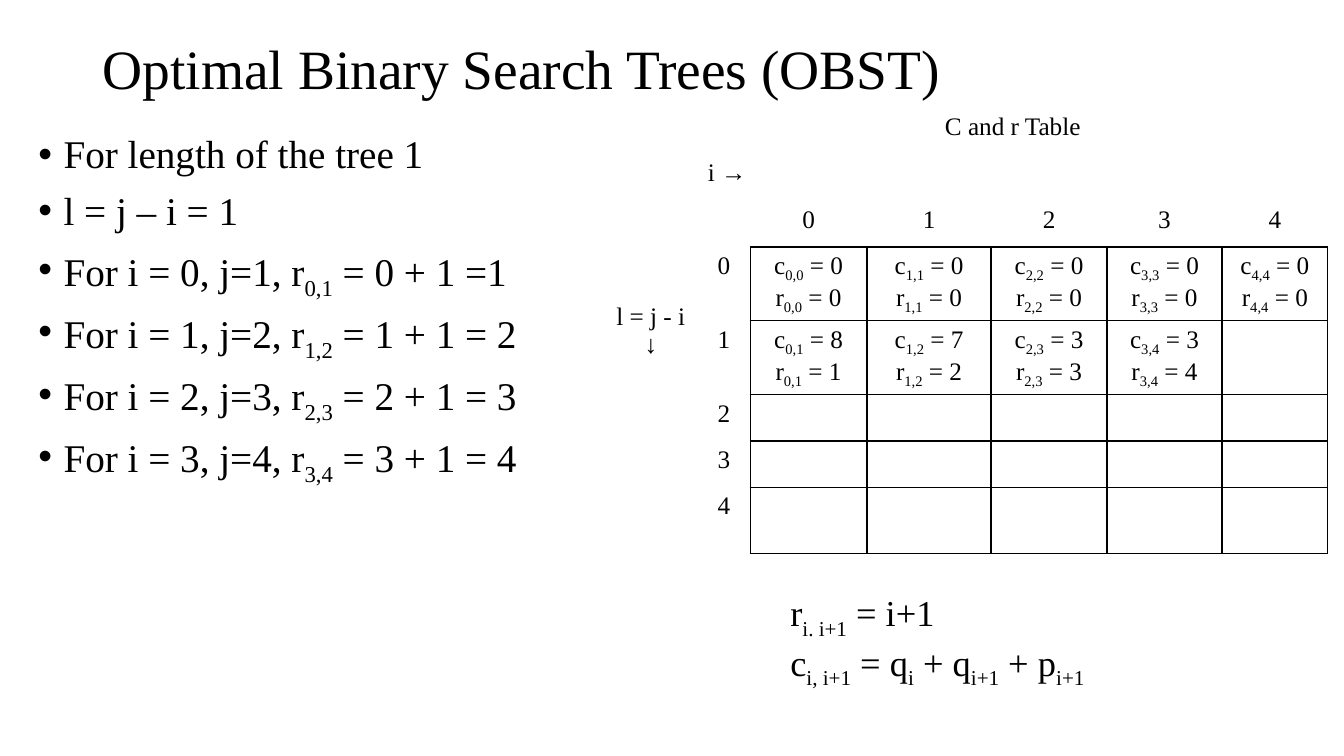
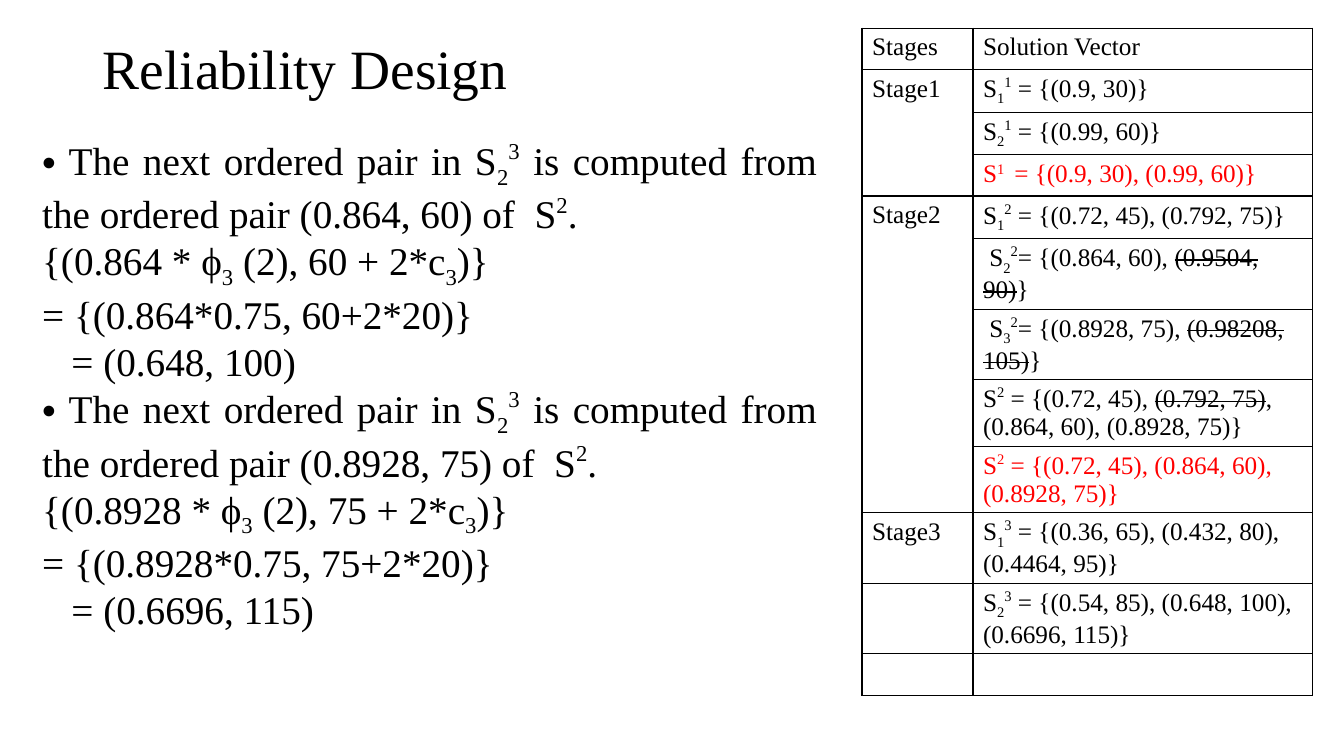
from pptx import Presentation
from pptx.dml.color import RGBColor
from pptx.enum.text import MSO_ANCHOR as Anchor, MSO_AUTO_SIZE as Auto, PP_ALIGN as Align
from pptx.util import Inches, Pt
from lxml.etree import SubElement as Sub
from pptx.oxml.ns import qn

FONT, BLACK, RED = "Times New Roman", "000000", "FF0000"
SHIFT = {"_": "-25000", "^": "40000", "`": "30000"}

TREE = "Optimal Binary Search Trees (OBST)"
STEPS = [
    "For length of the tree 1",
    "l = j – i = 1",
    "For i = 0, j=1, r|_0,1| = 0 + 1 =1",
    "For i = 1, j=2, r|_1,2| = 1 + 1 = 2",
    "For i = 2, j=3, r|_2,3| = 2 + 1 = 3",
    "For i = 3, j=4, r|_3,4| = 3 + 1 = 4",
]
COSTS = [
    [("0,0", 0, 0), ("1,1", 0, 0), ("2,2", 0, 0), ("3,3", 0, 0), ("4,4", 0, 0)],
    [("0,1", 8, 1), ("1,2", 7, 2), ("2,3", 3, 3), ("3,4", 3, 4)],
    [], [], [],
]
RULES = [
    "r|_i. i+1| = i+1",
    "c|_i, i+1| = q|_i| + q|_i+1| + p|_i+1",
]

DESIGN = "Reliability Design"
STAGES = [
    ("Stages", ["Solution Vector"]),
    ("Stage1", [
        "S|_1|^1| = {(0.9, 30)}",
        "S|_2|^1| = {(0.99, 60)}",
        "!S|`1 | = {(0.9, 30), (0.99, 60)}",
    ]),
    ("Stage2", [
        "S|_1|^2| = {(0.72, 45), (0.792, 75)}",
        " S|_2|^2|= {(0.864, 60), |~(0.9504, 90)|}",
        " S|_3|^2|= {(0.8928, 75), |~(0.98208, 105)|}",
        "S|^2| = {(0.72, 45), |~(0.792, 75)|, (0.864, 60), (0.8928, 75)}",
        "!S|^2| = {(0.72, 45), (0.864, 60), (0.8928, 75)}",
    ]),
    ("Stage3", ["S|_1|^3| = {(0.36, 65), (0.432, 80), (0.4464, 95)}"]),
    ("", ["S|_2|^3| = {(0.54, 85), (0.648, 100), (0.6696, 115)}"]),
    ("", [""]),
]
PAIRS = [
    ("0.864", "60", "0.648, 100"),
    ("0.8928", "75", "0.6696, 115"),
]


def color(code):
    return RGBColor.from_string(code)


def write(par, text, size, align=Align.LEFT):
    ink = RED if text.startswith("!") else BLACK
    par.alignment = align
    for part in text.lstrip("!").split("|"):
        if not part:
            continue
        mark = part[0] if part[0] in "_^`~" else ""
        run = par.add_run()
        run.text = part[len(mark):]
        run.font.size, run.font.name = Pt(size), FONT
        run.font.color.rgb = color(ink)
        props = run._r.get_or_add_rPr()
        if mark == "~":
            props.set("strike", "sngStrike")
        elif mark:
            props.set("baseline", SHIFT[mark])


def fill(frame, lines, size, align=Align.LEFT):
    for n, line in enumerate(lines):
        par = frame.add_paragraph() if n else frame.paragraphs[0]
        write(par, line, size, align)


def indent(par, left, first=0, dot=False):
    props = par._p.get_or_add_pPr()
    props.set("marL", str(Inches(left)))
    props.set("indent", str(Inches(first)))
    if dot:
        Sub(props, qn("a:buFont")).set("typeface", "Arial")
        Sub(props, qn("a:buChar")).set("char", "•")


def place(shape, x, y, w, h):
    shape.left, shape.top, shape.width, shape.height = map(Inches, (x, y, w, h))
    frame = shape.text_frame
    frame.word_wrap, frame.auto_size = True, Auto.NONE
    return frame


def start(deck, layout, title, width):
    slide = deck.slides.add_slide(deck.slide_layouts[layout])
    frame = place(slide.shapes.title, 0.92, 0.4, width, 0.61)
    frame.vertical_anchor = Anchor.MIDDLE
    fill(frame, [title], 39.6)
    frame.paragraphs[0].line_spacing = 0.9
    return slide


def box(slide, *spot):
    return place(slide.shapes.add_textbox(0, 0, 0, 0), *spot)


def edge(cell, side, shown):
    line = Sub(cell._tc.get_or_add_tcPr(), qn("a:ln" + side))
    line.set("w", str(Pt(1)))
    if shown:
        solid = Sub(line, qn("a:solidFill"))
        Sub(solid, qn("a:srgbClr")).set("val", BLACK)
    else:
        Sub(line, qn("a:noFill"))


def grid(slide, x, y, cols, rows, top=0, left=0):
    shape = slide.shapes.add_table(
        len(rows), len(cols), Inches(x), Inches(y), Inches(sum(cols)), Inches(sum(rows)))
    table = shape.table
    table.first_row = table.horz_banding = False
    for col, w in zip(table.columns, cols):
        col.width = Inches(w)
    for row, h in zip(table.rows, rows):
        row.height = Inches(h)
    for r in range(len(rows)):
        for c in range(len(cols)):
            cell = table.cell(r, c)
            inner = r >= top and c >= left
            edge(cell, "L", inner)
            edge(cell, "R", r >= top and c + 1 >= left)
            edge(cell, "T", inner)
            edge(cell, "B", r + 1 >= top and c >= left)
            cell.fill.background()
    return table


def put(table, r, c, lines, align=Align.LEFT):
    fill(table.cell(r, c).text_frame, lines, 18, align)


def tree(deck):
    slide = start(deck, 1, TREE, 11.5)
    frame = place(slide.placeholders[1], 0.28, 1.29, 5.3, 5.81)
    fill(frame, STEPS, 28, Align.JUSTIFY)
    for n, par in enumerate(frame.paragraphs):
        indent(par, 0.25, -0.25, True)
        par.line_spacing = 0.9
        par.space_before = Pt(10 if n else 0)

    table = grid(slide, 5.99, 1.07, [0.93, 0.52, 1.16, 1.23, 1.15, 1.14, 1.05],
                 [0.46] * 3 + [0.73] * 2 + [0.46] * 2 + [0.65], 3, 2)
    for a, b in [((0, 0), (7, 0)), ((0, 1), (0, 6)), ((1, 1), (1, 2))]:
        table.cell(*a).merge(table.cell(*b))
    mid = Align.CENTER
    put(table, 0, 0, ["l = j - i", "↓"], mid)
    table.cell(0, 0).vertical_anchor = Anchor.MIDDLE
    put(table, 0, 1, ["C and r Table"], mid)
    put(table, 1, 1, ["i →"])
    for n, row in enumerate(COSTS):
        put(table, 2, n + 2, [str(n)], mid)
        put(table, n + 3, 1, [str(n)], mid)
        for c, (pair, cost, root) in enumerate(row, 2):
            put(table, n + 3, c, [f"c|_{pair}| = {cost}", f"r|_{pair}| = {root}"], mid)

    fill(box(slide, 7.74, 5.81, 4.13, 0.98), RULES, 26, Align.JUSTIFY)


def design(deck):
    slide = start(deck, 5, DESIGN, 5.92)
    table = grid(slide, 8.55, 0.28, [1.1, 3.37],
                 [0.41, 0.42, 0.42, 0.41, 0.42, 0.7, 0.7, 0.66, 0.66, 0.7, 0.7, 0.41])
    r = 0
    for name, sets in STAGES:
        last = r + len(sets) - 1
        if last > r:
            table.cell(r, 0).merge(table.cell(last, 0))
        put(table, r, 0, [name])
        for n, line in enumerate(sets):
            put(table, r + n, 1, [line])
        r = last + 1

    lines = []
    for rate, cost, found in PAIRS:
        lines += [
            " The next ordered pair in S|_2|^3| is computed from the ordered pair "
            f"({rate}, {cost}) of  S|^2|.",
            f"{{({rate} * ϕ|_3| (2), {cost} + 2*c|_3|)}}",
            f"= {{({rate}*0.75, {cost}+2*20)}}",
            f"= ({found})",
        ]
    frame = box(slide, 0.32, 1.3, 7.88, 5.28)
    fill(frame, lines, 28, Align.JUSTIFY)
    for n, par in enumerate(frame.paragraphs):
        indent(par, 0.29 if n % 4 == 3 else 0, dot=n % 4 == 0)


def main():
    deck = Presentation()
    deck.slide_width, deck.slide_height = Inches(13.33), Inches(7.5)
    tree(deck)
    design(deck)
    deck.save("out.pptx")


if __name__ == "__main__":
    main()
